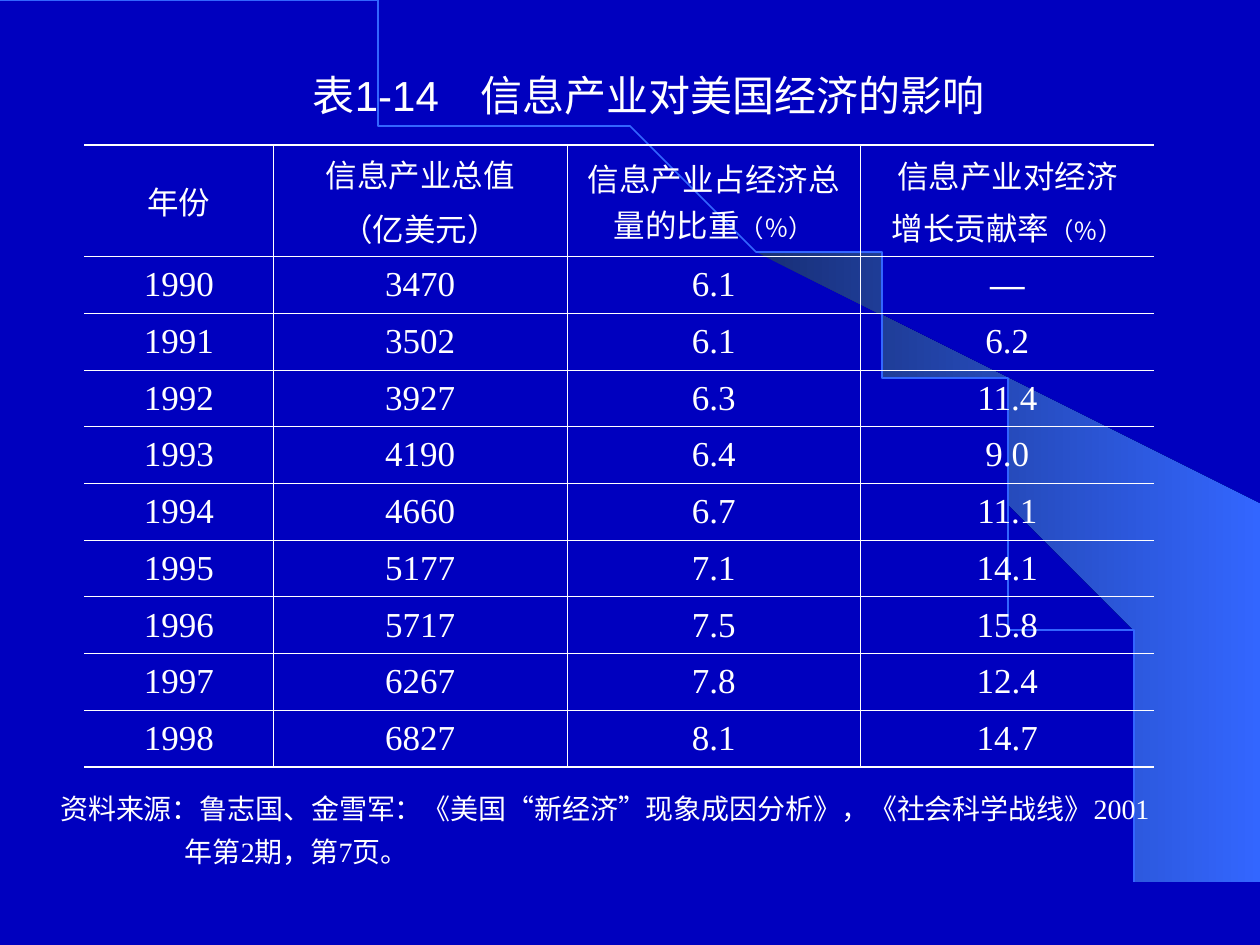
import pptx
import pptx.util
import pptx.dml.color
import pptx.enum.text
import pptx.oxml
import pptx.oxml.ns

Inches, Pt = pptx.util.Inches, pptx.util.Pt
RGB = pptx.dml.color.RGBColor.from_string
ALIGN, ANCHOR = pptx.enum.text.PP_ALIGN, pptx.enum.text.MSO_ANCHOR

THEME = {
    "back": "0000BF", "ink": "FFFFFF", "dark": "182F76", "glow": "3366FF",
    "sans": "Arial", "serif": "Times New Roman",
    "title": 24, "head": 18, "unit": 14, "body": 20, "note": 16,
    "thin": 0.45, "thick": 1.08,
}

TITLE = "表1-14　信息产业对美国经济的影响"
# Each heading is a list of paragraphs, each paragraph a list of (text, size).
HEADS = [
    [[("年份", "head")]],
    [[("信息产业总值", "head")], [("（亿美元）", "head")]],
    [[("信息产业占经济总量的比重", "head"), ("（％）", "unit")]],
    [[("信息产业对经济", "head")], [("增长贡献率", "head"), ("（％）", "unit")]],
]
GAPS = [0, 4.5, 0, 3.5]  # points between the lines of each heading
ROWS = [
    ("1990", "3470", "6.1", "—"),
    ("1991", "3502", "6.1", "6.2"),
    ("1992", "3927", "6.3", "11.4"),
    ("1993", "4190", "6.4", "9.0"),
    ("1994", "4660", "6.7", "11.1"),
    ("1995", "5177", "7.1", "14.1"),
    ("1996", "5717", "7.5", "15.8"),
    ("1997", "6267", "7.8", "12.4"),
    ("1998", "6827", "8.1", "14.7"),
]
NOTES = [
    ("资料来源：鲁志国、金雪军：《美国“新经济”现象成因分析》，《社会科学战线》2001", 0),
    ("年第2期，第7页。", 0.99),
]
WIDTHS = [1.5, 2.33, 2.33, 2.33]
HEAD_H, ROW_H = 0.76, 0.45
WEDGE = [
    (9.2, 7.48), (9.99, 7.49), (9.99, 4.23), (5.89, 1.73), (6.24, 1.99),
    (6.53, 2.22), (6.85, 2.5), (7.16, 2.8), (7.62, 3.3), (8.03, 3.84),
    (8.32, 4.31), (8.58, 4.79), (8.78, 5.28), (8.93, 5.72), (9.03, 6.09),
    (9.13, 6.56), (9.17, 6.96),
]
ARC = [(0, 0), (5.08, 0), (9.2, 3.35), (9.2, 7.49)]
STEPS = 60


def place(shape, *box):
    for name, val in zip(("left", "top", "width", "height"), box):
        setattr(shape, name, Inches(val))


def write(para, text, size, face):
    run = para.add_run()
    run.text = text
    form = {"size": Pt(THEME[size]), "name": THEME[face], "bold": False}
    for name, val in form.items():
        setattr(run.font, name, val)
    run.font.color.rgb = RGB(THEME["ink"])


def bezier(ends, t):
    """Point at t on a cubic curve."""
    parts = ((1 - t) ** 3, 3 * t * (1 - t) ** 2, 3 * t * t * (1 - t), t ** 3)
    return tuple(sum(k * p[i] for k, p in zip(parts, ends)) for i in (0, 1))


def outline(slide, points, close):
    pen = slide.shapes.build_freeform(*points[0], scale=Inches(1))
    pen.add_line_segments(points[1:], close=close)
    shape = pen.convert_to_shape()
    shape.shadow.inherit = False
    return shape


def sweep(slide):
    """Glowing wedge and the long arc behind the content."""
    wedge = outline(slide, WEDGE, True)
    wedge.line.fill.background()
    wedge.fill.gradient()
    wedge.fill.gradient_angle = 0
    for stop, pos, tone in zip(wedge.fill.gradient_stops, (0, 1), ("dark", "glow")):
        stop.position = pos
        stop.color.rgb = RGB(THEME[tone])

    arc = outline(slide, [bezier(ARC, i / STEPS) for i in range(STEPS + 1)], False)
    arc.fill.background()
    arc.line.color.rgb = RGB(THEME["glow"])
    arc.line.width = Pt(1)


def border(cell, sides):
    """Set cell borders from (side, weight) pairs; no weight means no line."""
    props = cell._tc.get_or_add_tcPr()
    for i, (side, weight) in enumerate(sides):
        fill = (f'<a:solidFill><a:srgbClr val="{THEME["ink"]}"/></a:solidFill>'
                if weight else "<a:noFill/>")
        props.insert(i, pptx.oxml.parse_xml(
            f'<a:ln{side} {pptx.oxml.ns.nsdecls("a")} w="{int(Pt(weight))}">'
            f"{fill}</a:ln{side}>"))


def grid(slide):
    body = [[[[(text, "body")]] for text in row] for row in ROWS]
    cells = [HEADS] + body
    high = HEAD_H + ROW_H * len(ROWS)
    table = slide.shapes.add_table(
        len(cells), len(WIDTHS), Inches(0.67), Inches(1.15),
        Inches(sum(WIDTHS)), Inches(high)).table
    table.first_row = table.horz_banding = False
    for col, wide in zip(table.columns, WIDTHS):
        col.width = Inches(wide)

    thin, thick = THEME["thin"], THEME["thick"]
    last, end = len(cells) - 1, len(WIDTHS) - 1
    for r, row in enumerate(cells):
        table.rows[r].height = Inches(ROW_H if r else HEAD_H)
        for c, lines in enumerate(row):
            cell = table.cell(r, c)
            cell.fill.background()
            cell.vertical_anchor = ANCHOR.MIDDLE
            border(cell, (
                ("L", thin if c else 0), ("R", thin if c < end else 0),
                ("T", thin if r else thick), ("B", thin if r < last else thick)))
            frame = cell.text_frame
            for i, runs in enumerate(lines):
                para = frame.add_paragraph() if i else frame.paragraphs[0]
                para.alignment = ALIGN.CENTER
                if i:
                    para.space_before = Pt(GAPS[c])
                for text, size in runs:
                    write(para, text, size, "sans" if text == "—" else "serif")


def source(slide):
    box = slide.shapes.add_textbox(0, 0, 0, 0)
    place(box, 0.38, 6.15, 8.9, 0.8)
    frame = box.text_frame
    frame.word_wrap = False
    for i, (text, indent) in enumerate(NOTES):
        para = frame.add_paragraph() if i else frame.paragraphs[0]
        para.line_spacing = 1.3
        if indent:
            para._p.get_or_add_pPr().set("marL", str(Inches(indent)))
        write(para, text, "note", "serif")


def main():
    deck = pptx.Presentation()
    deck.slide_width, deck.slide_height = Inches(10), Inches(7.5)
    slide = deck.slides.add_slide(deck.slide_layouts[5])
    slide.background.fill.solid()
    slide.background.fill.fore_color.rgb = RGB(THEME["back"])
    sweep(slide)

    title = slide.shapes.title
    title.element.getparent().append(title.element)  # in front of the sweep
    place(title, 0.9, 0.28, 8.5, 0.95)
    title.text_frame.vertical_anchor = ANCHOR.MIDDLE
    para = title.text_frame.paragraphs[0]
    para.alignment = ALIGN.CENTER
    write(para, TITLE, "title", "sans")

    grid(slide)
    source(slide)
    deck.save("out.pptx")


if __name__ == "__main__":
    main()
